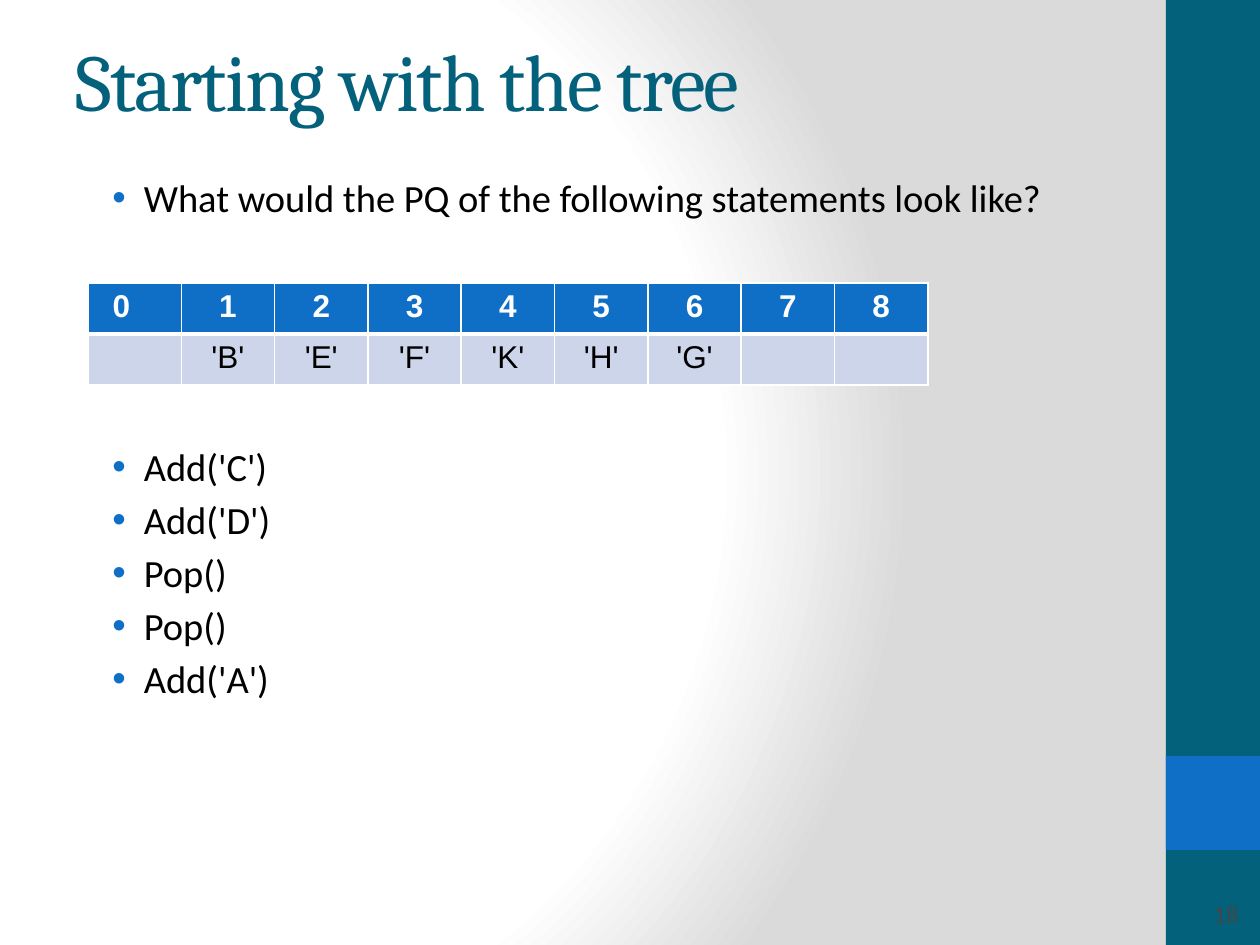
from dataclasses import dataclass

from lxml import etree
from pptx import Presentation
from pptx.dml.color import RGBColor
from pptx.enum.shapes import MSO_SHAPE
from pptx.enum.text import MSO_ANCHOR, MSO_AUTO_SIZE, PP_ALIGN
from pptx.oxml import parse_xml
from pptx.oxml.ns import nsdecls, qn
from pptx.util import Emu, Pt

RECT = MSO_SHAPE.RECTANGLE
MIDDLE, TOP = MSO_ANCHOR.MIDDLE, MSO_ANCHOR.TOP
LEFT, CENTER, RIGHT = PP_ALIGN.LEFT, PP_ALIGN.CENTER, PP_ALIGN.RIGHT
NO_FIT = MSO_AUTO_SIZE.NONE
SCALE = 914400 / 126


@dataclass(frozen=True)
class Theme:
    teal: str = "04617B"
    blue: str = "0F6FC6"
    pale: str = "CCD5EA"
    white: str = "FFFFFF"
    black: str = "000000"
    shade: str = "DADADA"
    gray: str = "464646"
    head: str = "Cambria"
    text: str = "Calibri"
    grid: str = "Arial"
    title: int = 46
    body: int = 22
    cell: int = 18
    page: int = 14


def px(n):
    return Emu(round(n * SCALE))


class Deck:
    def __init__(self, theme):
        self.theme = theme
        self.prs = Presentation()
        self.prs.slide_width, self.prs.slide_height = px(1260), px(945)
        self.slide = self.prs.slides.add_slide(self.prs.slide_layouts[1])

    def place(self, shape, box):
        shape.left, shape.top, shape.width, shape.height = map(px, box)

    def run(self, para, text, size, font, color, bold=False):
        run = para.add_run()
        run.text = text
        run.font.size, run.font.name, run.font.bold = Pt(size), font, bold
        run.font.color.rgb = RGBColor.from_string(color)
        return run

    def glow(self):
        """Fill the background with a round gradient."""
        t = self.theme
        stops = "".join(
            f'<a:gs pos="{pos * 1000}"><a:srgbClr val="{color}"/></a:gs>'
            for pos, color in ((0, t.white), (75, t.white), (100, t.shade)))
        self.slide.element.cSld.insert(0, parse_xml(
            f'<p:bg {nsdecls("p", "a")}><p:bgPr><a:gradFill rotWithShape="1">'
            f'<a:gsLst>{stops}</a:gsLst><a:path path="circle">'
            '<a:fillToRect l="20000" t="50000" r="100000" b="50000"/></a:path>'
            '</a:gradFill><a:effectLst/></p:bgPr></p:bg>'))

    def bar(self, box, color):
        shape = self.slide.shapes.add_shape(RECT, *map(px, box))
        shape.shadow.inherit = False
        shape.fill.solid()
        shape.fill.fore_color.rgb = RGBColor.from_string(color)
        shape.line.fill.background()

    def title(self, box, text):
        t, shape = self.theme, self.slide.shapes.title
        self.place(shape, box)
        frame = shape.text_frame
        frame.auto_size, frame.vertical_anchor = NO_FIT, MIDDLE
        para = frame.paragraphs[0]
        para.alignment = LEFT
        run = self.run(para, text, t.title, t.head, t.teal)
        run.font._element.set("spc", "-100")

    def bullets(self, box, items):
        """Fill the body with (text, space before in points) items."""
        t, shape = self.theme, self.slide.placeholders[1]
        self.place(shape, box)
        frame = shape.text_frame
        frame.auto_size, frame.vertical_anchor = NO_FIT, TOP
        for i, (text, gap) in enumerate(items):
            para = frame.add_paragraph() if i else frame.paragraphs[0]
            para.space_before = Pt(gap)
            props = para._p.get_or_add_pPr()
            props.set("marL", "342900")
            props.set("indent", "-228600")
            tint = etree.SubElement(props, qn("a:buClr"))
            etree.SubElement(tint, qn("a:srgbClr"), val=t.blue)
            etree.SubElement(props, qn("a:buFont"), typeface="Arial")
            etree.SubElement(props, qn("a:buChar"), char="•")
            self.run(para, text, t.body, t.text, t.black)

    def edge(self, cell, side, width):
        line = etree.SubElement(cell._tc.get_or_add_tcPr(),
                                qn(f"a:ln{side}"), w=str(Pt(width)))
        fill = etree.SubElement(line, qn("a:solidFill"))
        etree.SubElement(fill, qn("a:srgbClr"), val=self.theme.white)

    def table(self, box, rows):
        t = self.theme
        frame = self.slide.shapes.add_table(
            len(rows), len(rows[0]), *map(px, box))
        grid = frame.table
        for col in grid.columns:
            col.width = px(box[2] / len(rows[0]))
        for r, row in enumerate(rows):
            grid.rows[r].height = px(box[3] / len(rows))
            top = r == 0
            for c, text in enumerate(row):
                cell = grid.cell(r, c)
                for side in "LRTB":
                    thick = side == ("B" if top else "T") 
                    self.edge(cell, side, 3 if thick else 1)
                cell.fill.solid()
                cell.fill.fore_color.rgb = RGBColor.from_string(
                    t.blue if top else t.pale)
                para = cell.text_frame.paragraphs[0]
                para.alignment = CENTER
                para.font.size = Pt(t.cell)
                if text:
                    self.run(para, text, t.cell, t.grid,
                             t.white if top else t.black, top)
        return grid

    def page(self, box, text):
        t = self.theme
        frame = self.slide.shapes.add_textbox(*map(px, box)).text_frame
        frame.word_wrap, frame.vertical_anchor = True, MIDDLE
        para = frame.paragraphs[0]
        para.alignment = RIGHT
        self.run(para, text, t.page, t.text, t.gray)


def main():
    theme = Theme()
    deck = Deck(theme)
    deck.glow()
    deck.bar((1166, 0, 94, 945), theme.teal)
    deck.bar((1166, 756, 94, 94), theme.blue)
    deck.title((63, 0, 1050, 158), "Starting with the tree")
    near, far = 4, 127
    deck.bullets((84, 168, 1018, 714), [
        ("What would the PQ of the following statements look like?", near),
        ("Add('C')", far),
        ("Add('D')", near),
        ("Pop()", near),
        ("Pop()", near),
        ("Add('A')", near),
    ])
    heap = [f"'{key}'" if key.strip() else "" for key in " BEFKHG  "]
    grid = deck.table((88, 283, 840, 102),
                      [[str(i) for i in range(len(heap))], heap])
    grid.cell(0, 0).margin_right = px(39)
    deck.page((1166, 892, 85, 44), "18")
    deck.prs.save("out.pptx")


if __name__ == "__main__":
    main()
